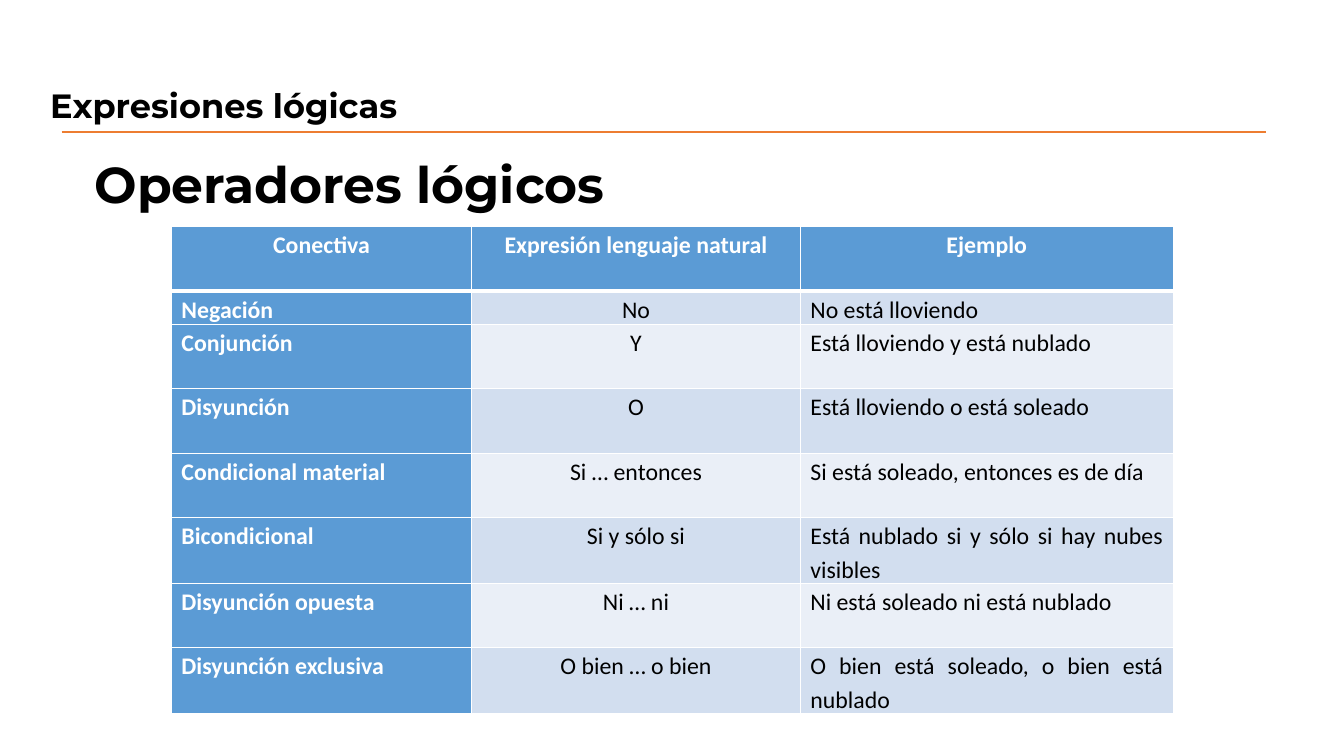
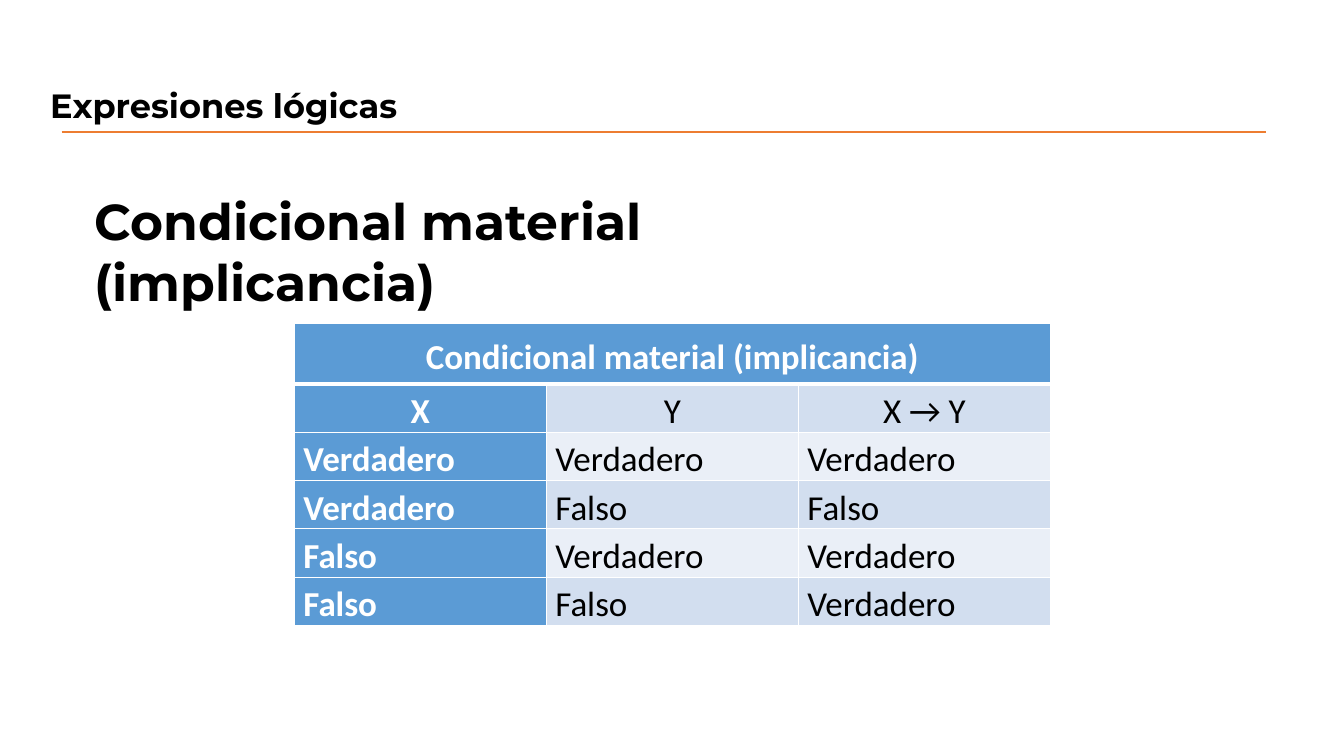
"""Build two slides on logical expressions, each with a heading and a table."""
import lxml.etree
import pptx
import pptx.dml.color
import pptx.enum.shapes
import pptx.enum.text
import pptx.oxml.ns
import pptx.util

Pt = pptx.util.Pt
RGB = pptx.dml.color.RGBColor.from_string
PP_ALIGN = pptx.enum.text.PP_ALIGN
qn = pptx.oxml.ns.qn

COLORS = {
    "text": "000000",
    "white": "FFFFFF",
    "rule": "ED7D31",
    "header": "5B9BD5",
    "odd": "D2DEEF",
    "even": "EAEFF7",
}
OPERATORS = [
    ("Conectiva", "Expresión lenguaje natural", "Ejemplo"),
    ("Negación", "No", "No está lloviendo"),
    ("Conjunción", "Y", "Está lloviendo y está nublado"),
    ("Disyunción", "O", "Está lloviendo o está soleado"),
    ("Condicional material", "Si … entonces", "Si está soleado, entonces es de día"),
    ("Bicondicional", "Si y sólo si", "Está nublado si y sólo si hay nubes visibles"),
    ("Disyunción opuesta", "Ni … ni", "Ni está soleado ni está nublado"),
    ("Disyunción exclusiva", "O bien … o bien", "O bien está soleado, o bien está nublado"),
]
IMPLICATION = [
    ("Condicional material (implicancia)", "", ""),
    ("X", "Y", "X → Y"),
    ("Verdadero", "Verdadero", "Verdadero"),
    ("Verdadero", "Falso", "Falso"),
    ("Falso", "Verdadero", "Verdadero"),
    ("Falso", "Falso", "Verdadero"),
]
SLIDES = [
    dict(title="Operadores lógicos", title_top=105.84, rows=OPERATORS,
         left=122.4, top=162, widths=[214.56, 234.72, 266.4],
         heights=[46.08, 22.32] + [46.08] * 6, size=17, margin=7.2,
         centred_rows=[0], centred_cols=[1], merge_header=False),
    dict(title="Condicional material (implicancia)", title_top=132.48, rows=IMPLICATION,
         left=210.24, top=231.12, widths=[180] * 3,
         heights=[32.4] * 6, size=25, margin=6.5,
         centred_rows=[0, 1], centred_cols=[], merge_header=True),
]


def add_heading(s, text, left, top, width, height, size):
    tf = s.shapes.add_textbox(Pt(left), Pt(top), Pt(width), Pt(height)).text_frame
    tf.word_wrap = True
    p = tf.paragraphs[0]
    p.text = text
    p.font.name = "Montserrat"
    p.font.size = Pt(size)
    p.font.bold = True
    p.font.color.rgb = RGB(COLORS["text"])


def add_borders(cell, bottom):
    tcPr = cell._tc.get_or_add_tcPr()
    for side, width in [("L", 1), ("R", 1), ("T", 1), ("B", bottom)]:
        ln = lxml.etree.SubElement(tcPr, qn("a:ln" + side), w=str(Pt(width)))
        fill = lxml.etree.SubElement(ln, qn("a:solidFill"))
        lxml.etree.SubElement(fill, qn("a:srgbClr"), val=COLORS["white"])


prs = pptx.Presentation()
prs.slide_width = Pt(960)
prs.slide_height = Pt(540)

for d in SLIDES:
    s = prs.slides.add_slide(prs.slide_layouts[6])
    add_heading(s, "Expresiones lógicas", 28.8, 56.88, 526.32, 55.44, 24)
    rule = s.shapes.add_connector(
        pptx.enum.shapes.MSO_CONNECTOR.STRAIGHT, Pt(44), Pt(94.3), Pt(904.3), Pt(94.3))
    rule.line.color.rgb = RGB(COLORS["rule"])
    rule.line.width = Pt(1.5)
    lxml.etree.SubElement(rule._element.spPr, qn("a:effectLst"))
    add_heading(s, d["title"], 60.48, d["title_top"], 593.28, 62.64, 36)

    table = s.shapes.add_table(
        len(d["rows"]), len(d["widths"]), Pt(d["left"]), Pt(d["top"]),
        Pt(sum(d["widths"])), Pt(sum(d["heights"]))).table
    for col, width in zip(table.columns, d["widths"]):
        col.width = Pt(width)
    for row, height in zip(table.rows, d["heights"]):
        row.height = Pt(height)

    for i, texts in enumerate(d["rows"]):
        for j, text in enumerate(texts):
            cell = table.cell(i, j)
            is_header = i == 0 or j == 0
            add_borders(cell, 3 if i == 0 else 1)
            cell.fill.solid()
            cell.fill.fore_color.rgb = RGB(
                COLORS["header" if is_header else "odd" if i % 2 else "even"])
            cell.margin_left = cell.margin_right = Pt(d["margin"])
            cell.margin_top = cell.margin_bottom = 0
            p = cell.text_frame.paragraphs[0]
            p.text = text
            centred = i in d["centred_rows"] or j in d["centred_cols"]
            p.alignment = PP_ALIGN.CENTER if centred else PP_ALIGN.JUSTIFY
            p.line_spacing = 1.15
            p.font.name = "Calibri"
            p.font.size = Pt(d["size"])
            p.font.bold = is_header
            p.font.color.rgb = RGB(COLORS["white" if is_header else "text"])

    if d["merge_header"]:
        header = table.cell(0, 0)
        header.merge(table.cell(0, len(d["widths"]) - 1))
        header.margin_left = header.margin_right = Pt(9.36)
        header.margin_top = header.margin_bottom = Pt(4.32)

prs.save("out.pptx")
